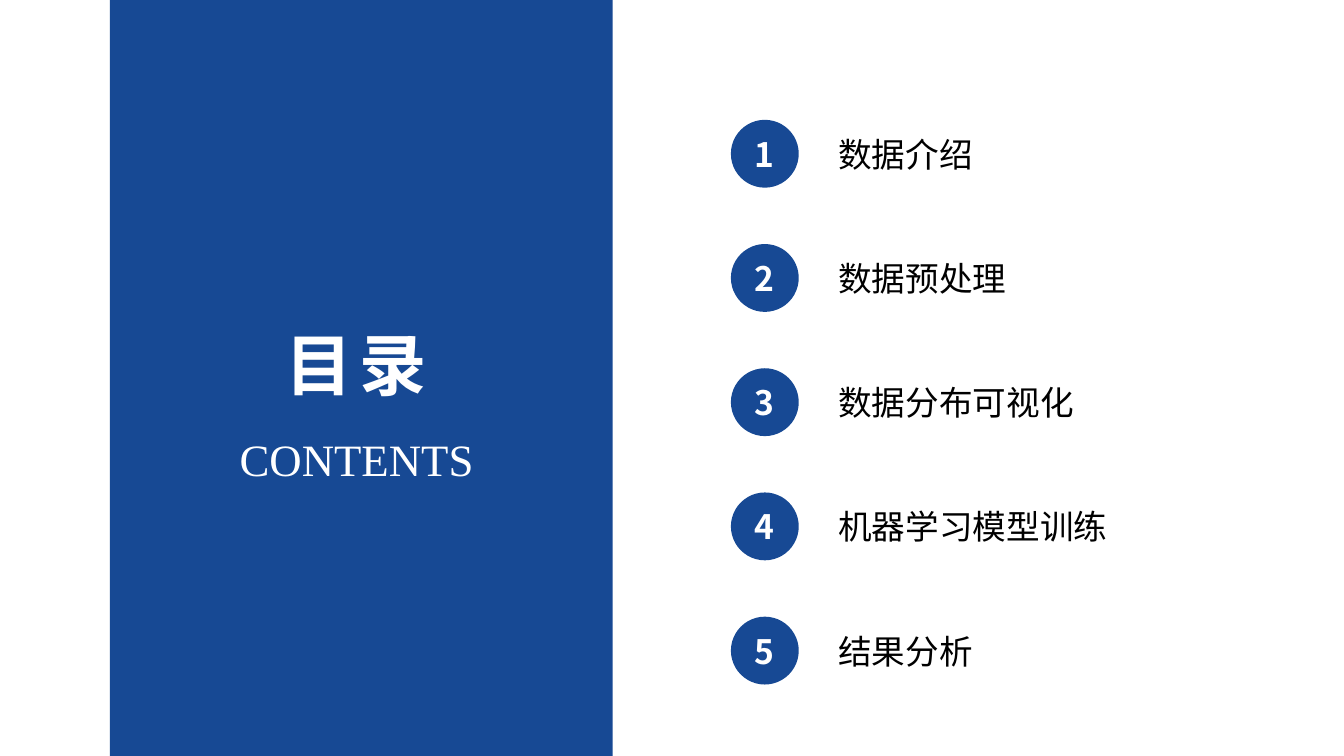
from pptx import Presentation
from pptx.dml.color import RGBColor
from pptx.enum.shapes import MSO_SHAPE
from pptx.enum.text import MSO_ANCHOR, PP_ALIGN
from pptx.util import Cm, Pt
from lxml import etree

RECT, OVAL = MSO_SHAPE.RECTANGLE, MSO_SHAPE.OVAL
MIDDLE = MSO_ANCHOR.MIDDLE
LEFT, CENTER = PP_ALIGN.LEFT, PP_ALIGN.CENTER
BLUE, WHITE, BLACK = "174994", "FFFFFF", "000000"
SERIF, SANS = "Times New Roman", "Noto Sans CJK SC"
A = "{http://schemas.openxmlformats.org/drawingml/2006/main}"


def add_blue_shape(kind, x, y, w, h):
    shape = s.shapes.add_shape(kind, Cm(x), Cm(y), Cm(w), Cm(h))
    shape.shadow.inherit = False
    shape.fill.solid()
    shape.fill.fore_color.rgb = RGBColor.from_string(BLUE)
    shape.line.fill.background()
    return shape


def write(shape, text, size, color, font=SERIF, bold=False, align=CENTER):
    """Fill a shape with one unwrapped, vertically centred line and return its run."""
    tf = shape.text_frame
    tf.text = text
    tf.word_wrap = False
    tf.vertical_anchor = MIDDLE
    p = tf.paragraphs[0]
    p.alignment = align
    p.space_before = Pt(0)
    r = p.runs[0]
    r.font.size = Pt(size)
    r.font.bold = bold
    r.font.name = font
    r.font.color.rgb = RGBColor.from_string(color)
    etree.SubElement(r.font._element, A + "ea", typeface=SANS)
    return r


prs = Presentation()
prs.slide_width, prs.slide_height = Cm(33.87), Cm(19.05)
s = prs.slides.add_slide(prs.slide_layouts[0])

# Blue panel, placed behind the headings
panel = add_blue_shape(RECT, 2.77, 0, 12.67, 19.05)
s.shapes.element.insert(2, panel.element)

title, subtitle = s.shapes.title, s.placeholders[1]
title.left, title.top, title.width, title.height = Cm(6.86), Cm(8), Cm(4.24), Cm(2.31)
r = write(title, "目录", 48, WHITE, bold=True)
r.font._element.set("spc", "500")

subtitle.left, subtitle.top = Cm(5.29), Cm(10.74)
subtitle.width, subtitle.height = Cm(7.4), Cm(1.63)
write(subtitle, "CONTENTS", 32, WHITE)

# Numbered entries
entries = ["数据介绍", "数据预处理", "数据分布可视化", "机器学习模型训练", "结果分析"]
FIRST_TOP, PITCH, DIAMETER, LABEL_HEIGHT = 3.02, 3.13, 1.71, 1.27
for i, entry in enumerate(entries):
    top = FIRST_TOP + i * PITCH
    circle = add_blue_shape(OVAL, 18.42, top, DIAMETER, DIAMETER)
    write(circle, str(i + 1), 24, WHITE, font=SANS, bold=True)
    label = s.shapes.add_textbox(Cm(20.88), Cm(top + (DIAMETER - LABEL_HEIGHT) / 2),
                                 Cm(8.2), Cm(LABEL_HEIGHT))
    write(label, entry, 24, BLACK, align=LEFT)

prs.save("out.pptx")
